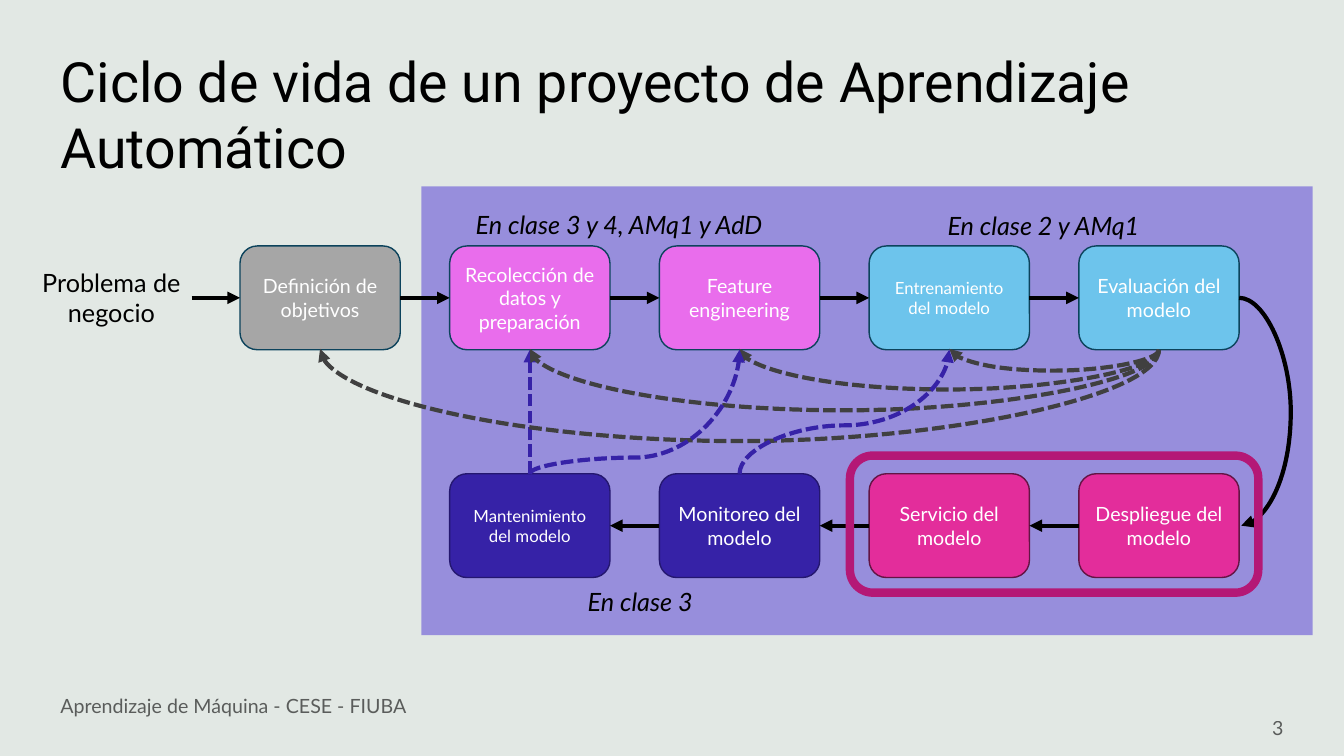
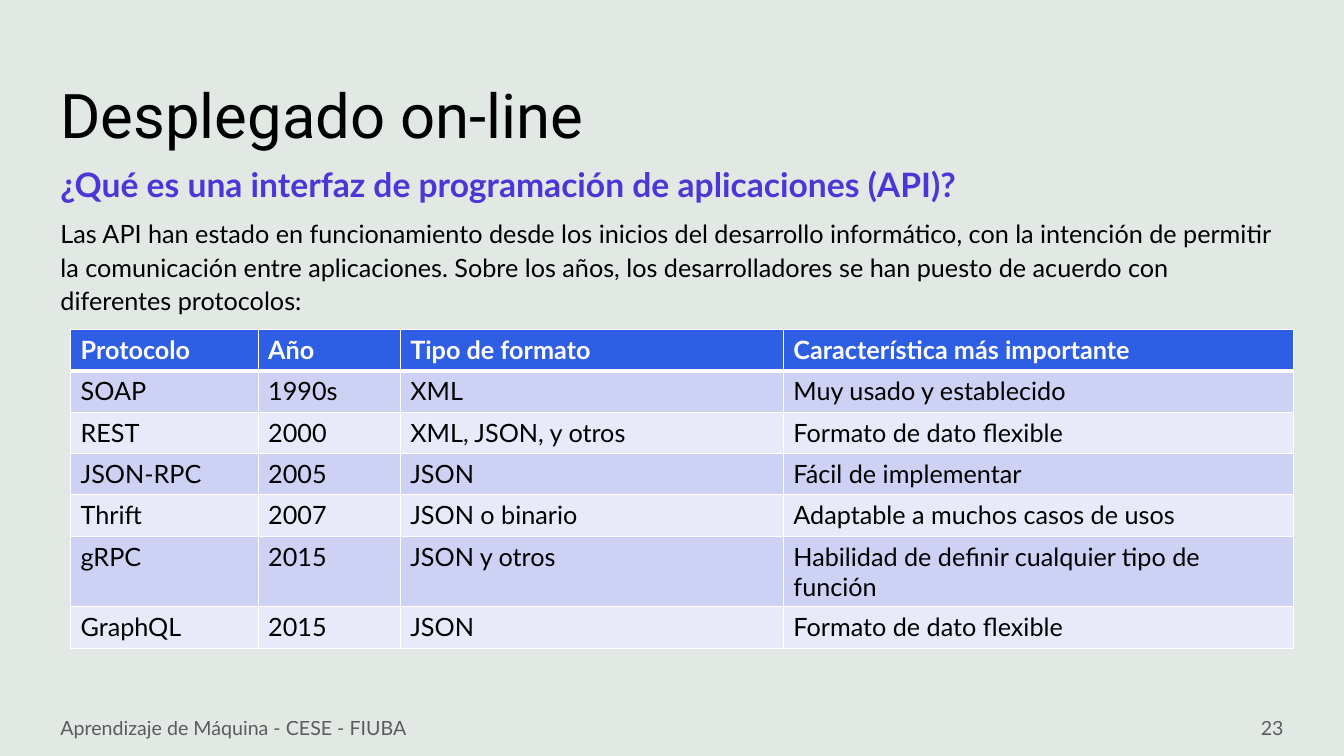
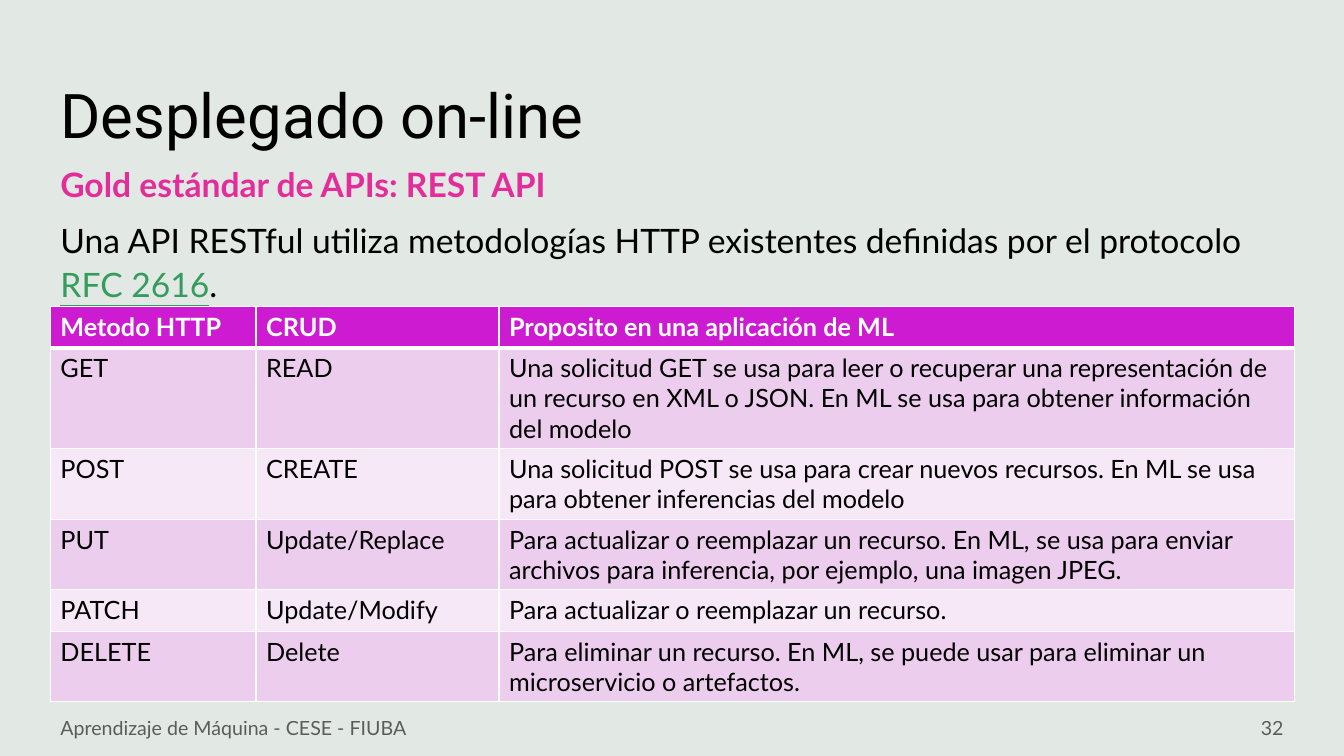
from lxml.etree import SubElement
from pptx import Presentation
from pptx.dml.color import RGBColor
from pptx.enum.dml import MSO_LINE
from pptx.enum.shapes import MSO_CONNECTOR, MSO_SHAPE
from pptx.enum.text import MSO_ANCHOR, MSO_AUTO_SIZE, PP_ALIGN
from pptx.oxml.ns import qn
from pptx.util import Inches, Pt

# Shared look
BACKGROUND, BLACK, WHITE, GREY = "E2E8E4", "000000", "FFFFFF", "404040"
VIOLET, INDIGO, PINK, GREEN = "4E36D6", "3622A7", "E32D9B", "349C5D"
FOOTER = "Aprendizaje de Máquina - CESE - FIUBA"
LEFT, MIDDLE = PP_ALIGN.LEFT, MSO_ANCHOR.MIDDLE
TITLE_ONLY, TITLE_AND_BODY = 5, 1

# Life cycle: (text, column, size, fill, outline), one list for each row
STEP_LEFT, STEP_PITCH, STEP_WIDTH, STEP_HEIGHT = 2.38, 2.08, 1.59, 1.03
TOP_ROW, BOTTOM_ROW = 2.44, 4.7
STEPS = {
    TOP_ROW: [
        ("Definición de objetivos", 0, 14, "A6A6A6", "0C435C"),
        ("Recolección de datos y preparación", 1, 14, "E96DEC", "0C435C"),
        ("Feature engineering", 2, 14, "E96DEC", "0C435C"),
        ("Entrenamiento del modelo", 3, 12, "6DC4EC", "0C435C"),
        ("Evaluación del modelo", 4, 14, "6DC4EC", "0C435C"),
    ],
    BOTTOM_ROW: [
        ("Despliegue del modelo", 4, 14, PINK, "631444"),
        ("Servicio del modelo", 3, 14, PINK, "631444"),
        ("Monitoreo del modelo", 2, 14, INDIGO, "24176F"),
        ("Mantenimiento del modelo", 1, 12, INDIGO, "24176F"),
    ],
}
CLASS_LABELS = [
    ("En clase 2 y AMq1", 9.3, 2.04, 2.3),
    ("En clase 3 y 4, AMq1 y AdD", 4.62, 2.03, 3.34),
    ("En clase 3", 5.73, 5.77, 1.35),
]
EVALUATION_LOOPS = [(0, 4.39), (1, 4.08), (2, 3.87), (3, 3.68)]  # column, depth
UPWARD_CURVES = [(1, 2, 4.54), (2, 3, 4.22)]  # from column, to column, bend

# Table slides
TABLE_SLIDES = [
    {
        "number": "23",
        "subtitle": ("¿Qué es una interfaz de programación de aplicaciones (API)?", VIOLET),
        "body": [("Las API han estado en funcionamiento desde los inicios del desarrollo "
                  "informático, con la intención de permitir la comunicación entre "
                  "aplicaciones. Sobre los años, los desarrolladores se han puesto de "
                  "acuerdo con diferentes protocolos:", {})],
        "body_size": 18,
        "body_height": 4.63,
        "table_at": (0.7, 3.27),
        "columns": [1.86, 1.41, 3.8, 5.06],
        "fills": ("2D5EE3", "CDD2F4", "E8EAFA"),
        "rows": [
            ("Protocolo", "Año", "Tipo de formato", "Característica más importante"),
            ("SOAP", "1990s", "XML", "Muy usado y establecido"),
            ("REST", "2000", "XML, JSON, y otros", "Formato de dato flexible"),
            ("JSON-RPC", "2005", "JSON", "Fácil de implementar"),
            ("Thrift", "2007", "JSON o binario", "Adaptable a muchos casos de usos"),
            ("gRPC", "2015", "JSON y otros",
             "Habilidad de definir cualquier tipo de función"),
            ("GraphQL", "2015", "JSON", "Formato de dato flexible"),
        ],
    },
    {
        "number": "32",
        "subtitle": ("Gold estándar de APIs: REST API", PINK),
        "body": [("Una API RESTful utiliza metodologías HTTP existentes definidas por "
                  "el protocolo ", {}),
                 ("RFC 2616", {"color": GREEN, "underline": True}), (".", {})],
        "body_size": 24,
        "body_height": 5.01,
        "table_at": (0.5, 3.04),
        "columns": [2.04, 2.41, 7.89],
        "fills": ("CD1BD1", "EDCDEE", "F6E8F7"),
        "rows": [
            ("Metodo HTTP", "CRUD", "Proposito en una aplicación de ML"),
            ("GET", "READ", "Una solicitud GET se usa para leer o recuperar una "
             "representación de un recurso en XML o JSON. En ML se usa para obtener "
             "información del modelo"),
            ("POST", "CREATE", "Una solicitud POST se usa para crear nuevos recursos. "
             "En ML se usa para obtener inferencias del modelo"),
            ("PUT", "Update/Replace", "Para actualizar o reemplazar un recurso. En ML, "
             "se usa para enviar archivos para inferencia, por ejemplo, una imagen JPEG."),
            ("PATCH", "Update/Modify", "Para actualizar o reemplazar un recurso."),
            ("DELETE", "Delete", "Para eliminar un recurso. En ML, se puede usar para "
             "eliminar un microservicio o artefactos."),
        ],
    },
]


def rgb(colour):
    return RGBColor.from_string(colour)


def inches(*lengths):
    return [Inches(length) for length in lengths]


def fade(shape, percent):
    """Make every colour of a shape partly transparent."""
    for colour in shape._element.iter(qn("a:srgbClr")):
        SubElement(colour, qn("a:alpha"), val=str(percent * 1000))


def add_span(para, text, size, color=BLACK, name="Lato", **formats):
    span = para.add_run()
    span.text = text
    span.font.color.rgb = rgb(color)
    for key, value in {"size": Pt(size), "name": name, **formats}.items():
        setattr(span.font, key, value)


def write(frame, text, size, align=LEFT, anchor=MSO_ANCHOR.TOP, wrap=True, **formats):
    frame.word_wrap = wrap
    frame.auto_size = MSO_AUTO_SIZE.NONE
    frame.vertical_anchor = anchor
    para = frame.paragraphs[0]
    para.alignment = align
    add_span(para, text, size, **formats)


def add_text(page, at, text, size, **formats):
    box = page.shapes.add_textbox(*inches(*at))
    write(box.text_frame, text, size, **formats)
    return box


def add_box(page, kind, at, fill=None, outline=None, width=1):
    box = page.shapes.add_shape(kind, *inches(*at))
    box.shadow.inherit = False
    for part, colour in ((box.fill, fill), (box.line.fill, outline)):
        if colour:
            part.solid()
            part.fore_color.rgb = rgb(colour)
        else:
            part.background()
    if outline:
        box.line.width = Pt(width)
    return box


def place(shape, at):
    for side, length in zip(("left", "top", "width", "height"), inches(*at)):
        setattr(shape, side, length)


def add_page(deck, layout, title, title_size, number, footer_top=7.02):
    page = deck.slides.add_slide(deck.slide_layouts[layout])
    place(page.shapes.title, (0.5, 0.4, 11.92, 1.45))
    write(page.shapes.title.text_frame, title, title_size, anchor=MIDDLE, name="Roboto")
    for at, text, align in (((0.5, footer_top, 4.5, 0.4), FOOTER, LEFT),
                            ((9.83, 7.02, 3, 0.4), number, PP_ALIGN.RIGHT)):
        fade(add_text(page, at, text, 14, align=align, anchor=MIDDLE), 60)
    return page


def add_arrow(page, kind, start, end, colour=BLACK, dashed=False):
    arrow = page.shapes.add_connector(kind, *inches(*start, *end))
    arrow.line.color.rgb = rgb(colour)
    arrow.line.width = Pt(3)
    if dashed:
        arrow.line.dash_style = MSO_LINE.SQUARE_DOT
    properties = arrow._element.spPr
    SubElement(properties.find(qn("a:ln")), qn("a:tailEnd"), type="triangle")
    SubElement(properties, qn("a:effectLst"))
    return arrow


def join(page, first, first_side, second, second_side, **style):
    arrow = add_arrow(page, MSO_CONNECTOR.STRAIGHT, (0, 0), (1, 1), **style)
    arrow.begin_connect(first, first_side)
    arrow.end_connect(second, second_side)


def add_curve(page, start, end, bend, vertical=True, **style):
    """Curve that leaves along one axis and turns back at the bend."""
    arrow = add_arrow(page, MSO_CONNECTOR.CURVE, start, end, **style)
    properties = arrow._element.spPr
    axis = 1 if vertical else 0
    ratio = (bend - start[axis]) / (end[axis] - start[axis])
    SubElement(properties.find(qn("a:prstGeom")).find(qn("a:avLst")), qn("a:gd"),
               name="adj1", fmla=f"val {round(ratio * 100000)}")
    if vertical:
        # The frame is turned a quarter: its width runs down the page
        across, down = end[0] - start[0], end[1] - start[1]
        width, height = abs(down), abs(across)
        place(arrow, ((start[0] + end[0] - width) / 2,
                      (start[1] + end[1] - height) / 2, width, height))
        frame = properties.find(qn("a:xfrm"))
        for key, value in (("rot", 90 * 60000), ("flipH", int(down < 0)),
                           ("flipV", int(across > 0))):
            frame.set(key, str(value))


def column_middle(column):
    return STEP_LEFT + STEP_PITCH * column + STEP_WIDTH / 2


def add_life_cycle(deck):
    page = add_page(deck, TITLE_ONLY, "Ciclo de vida de un proyecto de Aprendizaje Automático",
                    39.6, "3", footer_top=6.8)
    panel = add_box(page, MSO_SHAPE.RECTANGLE, (4.18, 1.85, 8.84, 4.45), VIOLET)
    fade(panel, 50)
    # Keep the title in front of the panel
    panel._element.getparent().insert(2, panel._element)

    # Steps
    problem = add_text(page, (0.31, 2.6, 1.59, 0.71), "Problema de negocio", 18,
                       align=PP_ALIGN.CENTER)
    rows = {}
    for top, steps in STEPS.items():
        rows[top] = []
        for text, column, size, fill, outline in steps:
            left = STEP_LEFT + STEP_PITCH * column
            step = add_box(page, MSO_SHAPE.ROUNDED_RECTANGLE,
                           (left, top, STEP_WIDTH, STEP_HEIGHT), fill, outline)
            write(step.text_frame, text, size, align=PP_ALIGN.CENTER, anchor=MIDDLE,
                  color=WHITE)
            rows[top].append(step)

    # Straight arrows
    upper, lower = [problem] + rows[TOP_ROW], rows[BOTTOM_ROW]
    for chain, out_side, in_side in ((upper, 3, 1), (lower, 1, 3)):
        for first, second in zip(chain, chain[1:]):
            join(page, first, out_side, second, in_side)
    join(page, lower[-1], 0, rows[TOP_ROW][1], 2, colour=INDIGO, dashed=True)

    # Curved arrows
    right = STEP_LEFT + STEP_PITCH * 4 + STEP_WIDTH
    add_curve(page, (right, TOP_ROW + STEP_HEIGHT / 2),
              (right + 0.02, BOTTOM_ROW + STEP_HEIGHT / 2), 12.8, vertical=False)
    bottom = TOP_ROW + STEP_HEIGHT
    for column, depth in EVALUATION_LOOPS:
        add_curve(page, (column_middle(4), bottom), (column_middle(column), bottom - 0.01),
                  depth, colour=GREY, dashed=True)
    for first, second, bend in UPWARD_CURVES:
        add_curve(page, (column_middle(first), BOTTOM_ROW), (column_middle(second), bottom),
                  bend, colour=INDIGO, dashed=True)

    # Highlight and class labels
    add_box(page, MSO_SHAPE.ROUNDED_RECTANGLE, (8.43, 4.52, 4.05, 1.36),
            outline="B41876", width=6)
    for text, left, top, width in CLASS_LABELS:
        add_text(page, (left, top, width, 0.4), text, 18, wrap=False, italic=True)


def add_borders(cell, top, bottom):
    properties = cell._tc.get_or_add_tcPr()
    for side, width in (("L", 1), ("R", 1), ("T", top), ("B", bottom)):
        line = SubElement(properties, qn(f"a:ln{side}"), w=str(Pt(width)))
        SubElement(SubElement(line, qn("a:solidFill")), qn("a:srgbClr"), val=WHITE)


def add_grid(page, at, columns, rows, fills):
    row_height = 0.41
    table = page.shapes.add_table(len(rows), len(columns), *inches(
        *at, sum(columns), row_height * len(rows))).table
    for column, width in zip(table.columns, columns):
        column.width = Inches(width)
    header, odd, even = fills
    for index, texts in enumerate(rows):
        table.rows[index].height = Inches(row_height)
        is_header = index == 0
        fill = header if is_header else odd if index % 2 else even
        for cell, text in zip(table.rows[index].cells, texts):
            add_borders(cell, 3 if index == 1 else 1, 3 if is_header else 1)
            cell.fill.solid()
            cell.fill.fore_color.rgb = rgb(fill)
            add_span(cell.text_frame.paragraphs[0], text, 18,
                     color=WHITE if is_header else BLACK, bold=is_header)


def add_table_page(deck, content):
    page = add_page(deck, TITLE_AND_BODY, "Desplegado on-line", 44, content["number"])
    subtitle, colour = content["subtitle"]
    add_text(page, (0.5, 1.58, 10.64, 0.5), subtitle, 24, color=colour, bold=True)

    # Introduction, without bullet or indent
    body = page.placeholders[1]
    place(body, (0.5, 2.09, 12.33, content["body_height"]))
    body.text_frame.auto_size = MSO_AUTO_SIZE.NONE
    para = body.text_frame.paragraphs[0]
    para.line_spacing, para.space_before = 1.1, Pt(10)
    for text, formats in content["body"]:
        add_span(para, text, content["body_size"], **formats)
    properties = para._p.get_or_add_pPr()
    for key in ("marL", "indent"):
        properties.set(key, "0")
    SubElement(properties, qn("a:buNone"))

    add_grid(page, content["table_at"], content["columns"], content["rows"],
             content["fills"])


def main():
    deck = Presentation()
    deck.slide_width, deck.slide_height = inches(13.33, 7.5)
    backdrop = deck.slide_master.background.fill
    backdrop.solid()
    backdrop.fore_color.rgb = rgb(BACKGROUND)
    add_life_cycle(deck)
    for content in TABLE_SLIDES:
        add_table_page(deck, content)
    deck.save("out.pptx")


if __name__ == "__main__":
    main()
